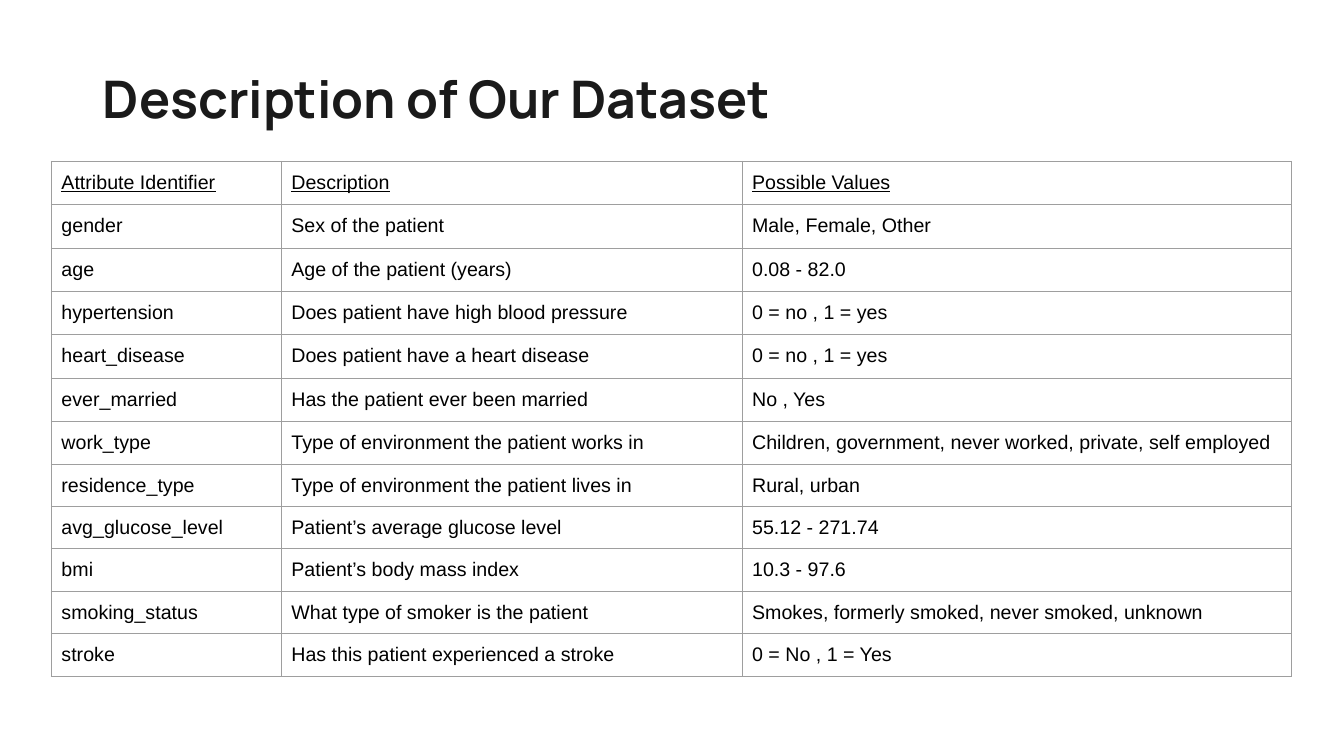
from lxml import etree
from pptx import Presentation, util as u
from pptx.dml.color import RGBColor
from pptx.enum import text
from pptx.oxml import ns

SLIDE_W, SLIDE_H = 13.33, 7.5
TITLE_BOX = (0.92, 0.28, 11.5, 1.45)
TABLE_BOX = (0.51, 1.6, 12.3, 5.11)
COLUMN_WIDTHS = (2.28, 4.57, 5.45)
ROW_HEIGHTS = (0.43,) * 6 + (0.42,) * 6
TITLE_FONT = dict(name="Manrope", size=u.Pt(37), bold=True)
CELL_FONT = dict(name="Arial", size=u.Pt(14), bold=False)
INK, BLACK, RULE = "1A1A1A", "000000", "9E9E9E"

ATTRIBUTES = [
    ("Attribute Identifier", "Description", "Possible Values"),
    ("gender", "Sex of the patient", "Male, Female, Other"),
    ("age", "Age of the patient (years)", "0.08 - 82.0"),
    ("hypertension", "Does patient have high blood pressure", "0 = no , 1 = yes"),
    ("heart_disease", "Does patient have a heart disease", "0 = no , 1 = yes"),
    ("ever_married", "Has the patient ever been married", "No , Yes"),
    ("work_type", "Type of environment the patient works in",
     "Children, government, never worked, private, self employed"),
    ("residence_type", "Type of environment the patient lives in", "Rural, urban"),
    ("avg_glucose_level", "Patient’s average glucose level", "55.12 - 271.74"),
    ("bmi", "Patient’s body mass index", "10.3 - 97.6"),
    ("smoking_status", "What type of smoker is the patient",
     "Smokes, formerly smoked, never smoked, unknown"),
    ("stroke", "Has this patient experienced a stroke", "0 = No , 1 = Yes"),
]


def color(hex_string):
    return RGBColor.from_string(hex_string)


def set_attrs(obj, values):
    for name, value in values.items():
        setattr(obj, name, value)


def write(p, content, font, hex_string):
    r = p.add_run()
    r.text = content
    set_attrs(r.font, font)
    r.font.color.rgb = color(hex_string)


def add_borders(cell, hex_string, width):
    """Rule all four sides; border elements come before the cell fill."""
    tc_pr = cell._tc.get_or_add_tcPr()
    for i, side in enumerate(("a:lnL", "a:lnR", "a:lnT", "a:lnB")):
        ln = etree.Element(ns.qn(side), w=str(u.Pt(width)))
        fill = etree.SubElement(ln, ns.qn("a:solidFill"))
        etree.SubElement(fill, ns.qn("a:srgbClr"), val=hex_string)
        tc_pr.insert(i, ln)


def add_title(s, box, content):
    sp = s.shapes.title
    set_attrs(sp, dict(zip(("left", "top", "width", "height"), map(u.Inches, box))))
    tf = sp.text_frame
    set_attrs(tf, dict(word_wrap=True, auto_size=text.MSO_AUTO_SIZE.NONE,
                       vertical_anchor=text.MSO_ANCHOR.MIDDLE))
    p = tf.paragraphs[0]
    set_attrs(p, dict(alignment=text.PP_ALIGN.LEFT, line_spacing=0.9))
    write(p, content, TITLE_FONT, INK)


def add_attribute_table(s, box, rows):
    table = s.shapes.add_table(len(rows), len(rows[0]), *map(u.Inches, box)).table
    set_attrs(table, dict(first_row=False, horz_banding=False))

    # Share the box out among columns and rows
    for column, width in zip(table.columns, COLUMN_WIDTHS):
        column.width = u.Inches(box[2] * width / sum(COLUMN_WIDTHS))
    for row, height in zip(table.rows, ROW_HEIGHTS):
        row.height = u.Inches(box[3] * height / sum(ROW_HEIGHTS))

    # Fill the cells; the heading row is underlined
    margins = {f"margin_{side}": u.Inches(0.1)
               for side in ("left", "right", "top", "bottom")}
    for i, values in enumerate(rows):
        for j, value in enumerate(values):
            cell = table.cell(i, j)
            set_attrs(cell, margins)
            cell.fill.background()
            add_borders(cell, RULE, 0.75)
            write(cell.text_frame.paragraphs[0], value,
                  {**CELL_FONT, "underline": i == 0}, BLACK)


def main():
    prs = Presentation()
    prs.slide_width, prs.slide_height = u.Inches(SLIDE_W), u.Inches(SLIDE_H)
    s = prs.slides.add_slide(prs.slide_layouts.get_by_name("Title Only"))
    add_title(s, TITLE_BOX, "Description of Our Dataset")
    add_attribute_table(s, TABLE_BOX, ATTRIBUTES)
    prs.save("out.pptx")


if __name__ == "__main__":
    main()
